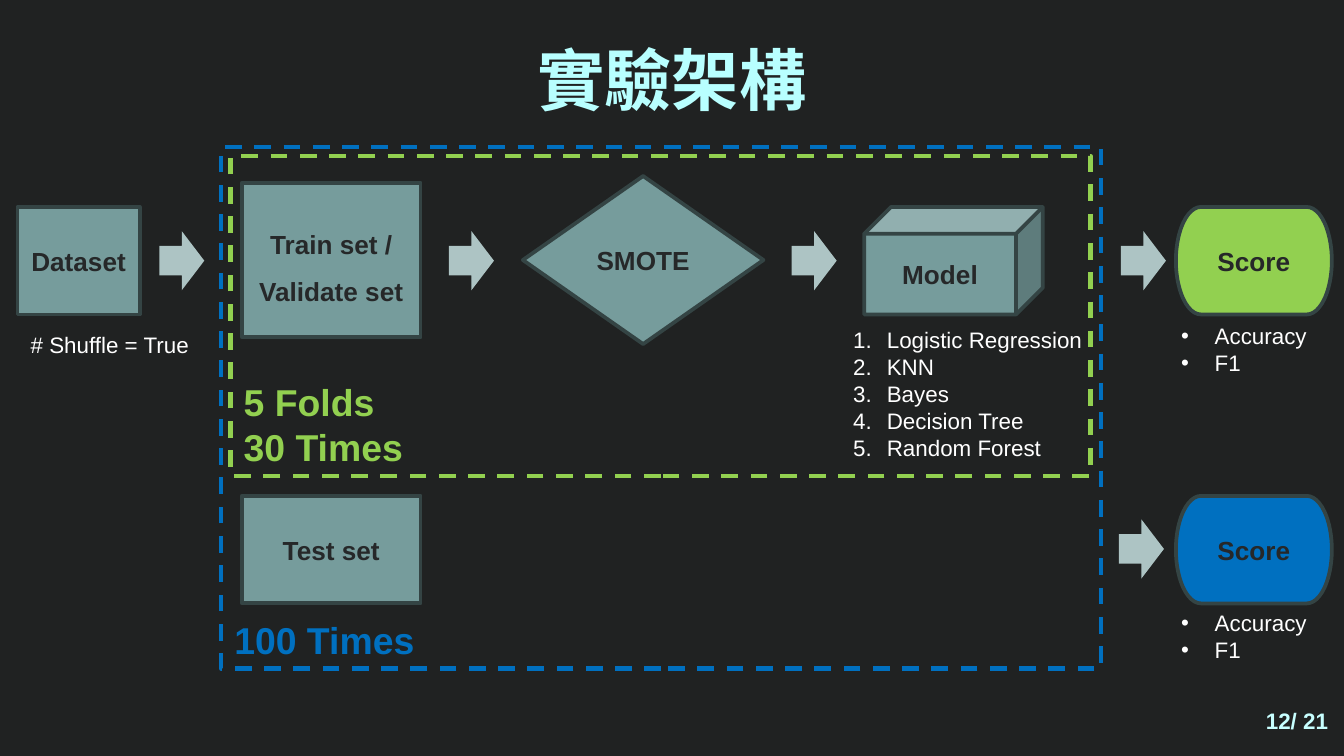
"""Build the slide that shows the experiment's architecture as a flow."""
from lxml import etree
from pptx import Presentation
from pptx import util as u
from pptx.dml.color import RGBColor
from pptx.enum import dml, shapes, text
from pptx.oxml.ns import qn

BACKGROUND = RGBColor(0x20, 0x22, 0x22)
TITLE = RGBColor(0xB8, 0xFF, 0xFF)
PAGE = RGBColor(0xC7, 0xFF, 0xFF)
WHITE = RGBColor(0xFF, 0xFF, 0xFF)
INK = RGBColor(0x26, 0x28, 0x29)
TEAL = RGBColor(0x76, 0x9C, 0x9C)
EDGE = RGBColor(0x34, 0x44, 0x44)
PALE = RGBColor(0xAD, 0xC4, 0xC4)
GREEN = RGBColor(0x92, 0xD0, 0x50)
BLUE = RGBColor(0x00, 0x70, 0xC0)
LEFT, CENTER, RIGHT = text.PP_ALIGN.LEFT, text.PP_ALIGN.CENTER, text.PP_ALIGN.RIGHT
TOP, MIDDLE, BOTTOM = text.MSO_ANCHOR.TOP, text.MSO_ANCHOR.MIDDLE, text.MSO_ANCHOR.BOTTOM
KIND = shapes.MSO_SHAPE

deck = Presentation()
deck.slide_width = u.Inches(10)
deck.slide_height = deck.slide_width * 9 // 16
CELL = deck.slide_width / 100
slide = deck.slides.add_slide(deck.slide_layouts[6])
slide.background.fill.solid()
slide.background.fill.fore_color.rgb = BACKGROUND


def grid(*cells):
    """Turn counts of grid columns and rows into lengths."""
    return [u.Emu(round(count * CELL)) for count in cells]


def write(holder, words, size=12, color=WHITE, bold=False, font="Arial", align=LEFT,
          anchor=TOP, wrap=True, spacing=None, bullet=None):
    """Fill a text holder, one paragraph per line of words."""
    frame = holder.text_frame
    frame.text = words
    frame.word_wrap = wrap
    frame.vertical_anchor = anchor
    for paragraph in frame.paragraphs:
        paragraph.alignment = align
        if spacing:
            paragraph.line_spacing = spacing
        if bullet:
            tag, attribute, mark = bullet
            properties = paragraph._p.get_or_add_pPr()
            indent = u.Inches(0.25)
            properties.set("marL", str(indent))
            properties.set("indent", str(-indent))
            etree.SubElement(properties, qn("a:buFont"), typeface="Arial")
            etree.SubElement(properties, qn(tag), {attribute: mark})
        for run in paragraph.runs:
            run.font.size = u.Pt(size)
            run.font.bold = bold
            run.font.name = font
            run.font.color.rgb = color
            etree.SubElement(run._r.get_or_add_rPr(), qn("a:ea"), typeface=font)


heading = slide.shapes.add_textbox(*grid(7.85, 1.85, 84.3, 6.3))
heading.text_frame.margin_top = heading.text_frame.margin_bottom = u.Inches(0.1)
write(heading, "實驗架構", size=36, color=TITLE, bold=True,
      font="Noto Sans CJK SC", align=CENTER)

upper_row, lower_row, step_height = 15.4, 36.9, 8
set_column, set_width = 18, 13.3
score_column, score_width = 87.5, 11.6
steps = [
    (KIND.RECTANGLE, "Dataset", 1.3, upper_row, 9.1, step_height, TEAL, None),
    (KIND.RECTANGLE, "Train set /\nValidate set", set_column, 13.6, set_width, 11.5, TEAL, 1.5),
    (KIND.RECTANGLE, "Test set", set_column, lower_row, set_width, step_height, TEAL, None),
    (KIND.CUBE, "Model", 64.3, upper_row, 13.3, step_height, TEAL, None),
    (KIND.FLOWCHART_DECISION, "SMOTE", 38.9, 13.1, 17.9, 12.5, TEAL, None),
    (KIND.FLOWCHART_TERMINATOR, "Score", score_column, upper_row, score_width, step_height,
     GREEN, None),
    (KIND.FLOWCHART_TERMINATOR, "Score", score_column, lower_row, score_width, step_height,
     BLUE, None),
]
for kind, label, left, top, width, height, color, spacing in steps:
    step = slide.shapes.add_shape(kind, *grid(left, top, width, height))
    step.shadow.inherit = False
    step.fill.solid()
    step.fill.fore_color.rgb = color
    step.line.color.rgb = EDGE
    step.line.width = u.Pt(2)
    write(step, label, size=14, color=INK, bold=True, align=CENTER, anchor=MIDDLE,
          wrap=False, spacing=spacing)

loops = [
    ("5 Folds\v30 Times", GREEN, (17.15, 11.6, 64, 23.8)),
    ("100 Times", BLUE, (16.45, 10.95, 65.5, 38.8)),
]
for repeats, color, place in loops:
    loop = slide.shapes.add_shape(KIND.RECTANGLE, *grid(*place))
    loop.shadow.inherit = False
    loop.fill.background()
    loop.line.color.rgb = color
    loop.line.width = u.Pt(2.25)
    loop.line.dash_style = dml.MSO_LINE.DASH
    write(loop, repeats, size=20, color=color, bold=True, anchor=BOTTOM)

upper_flow, lower_flow = 17.2, 38.65
for left, top in [(11.85, upper_flow), (33.4, upper_flow), (58.9, upper_flow),
                  (83.4, upper_flow), (83.25, lower_flow)]:
    flow = slide.shapes.add_shape(KIND.RIGHT_ARROW, *grid(left, top, 3.35, 4.4))
    flow.shadow.inherit = False
    flow.fill.solid()
    flow.fill.fore_color.rgb = PALE
    flow.line.fill.background()

numbered = ("a:buAutoNum", "type", "arabicPeriod")
dotted = ("a:buChar", "char", "•")
models = "Logistic Regression\nKNN\nBayes\nDecision Tree\nRandom Forest"
metrics = "Accuracy\nF1"
notes = [
    (models, (62.5, 23.8, 19.2, 11.1), {"bullet": numbered}),
    (metrics, (86.9, 23.5, 11.4, 5), {"bullet": dotted}),
    (metrics, (86.9, 44.85, 11.4, 5), {"bullet": dotted}),
    ("# Shuffle = True", (1.3, 24.15, 14.3, 3), {}),
    ("12/ 21", (77.3, 52.15, 22.5, 3),
     {"color": PAGE, "bold": True, "align": RIGHT, "anchor": MIDDLE}),
]
for words, place, style in notes:
    write(slide.shapes.add_textbox(*grid(*place)), words, **style)

deck.save("out.pptx")
